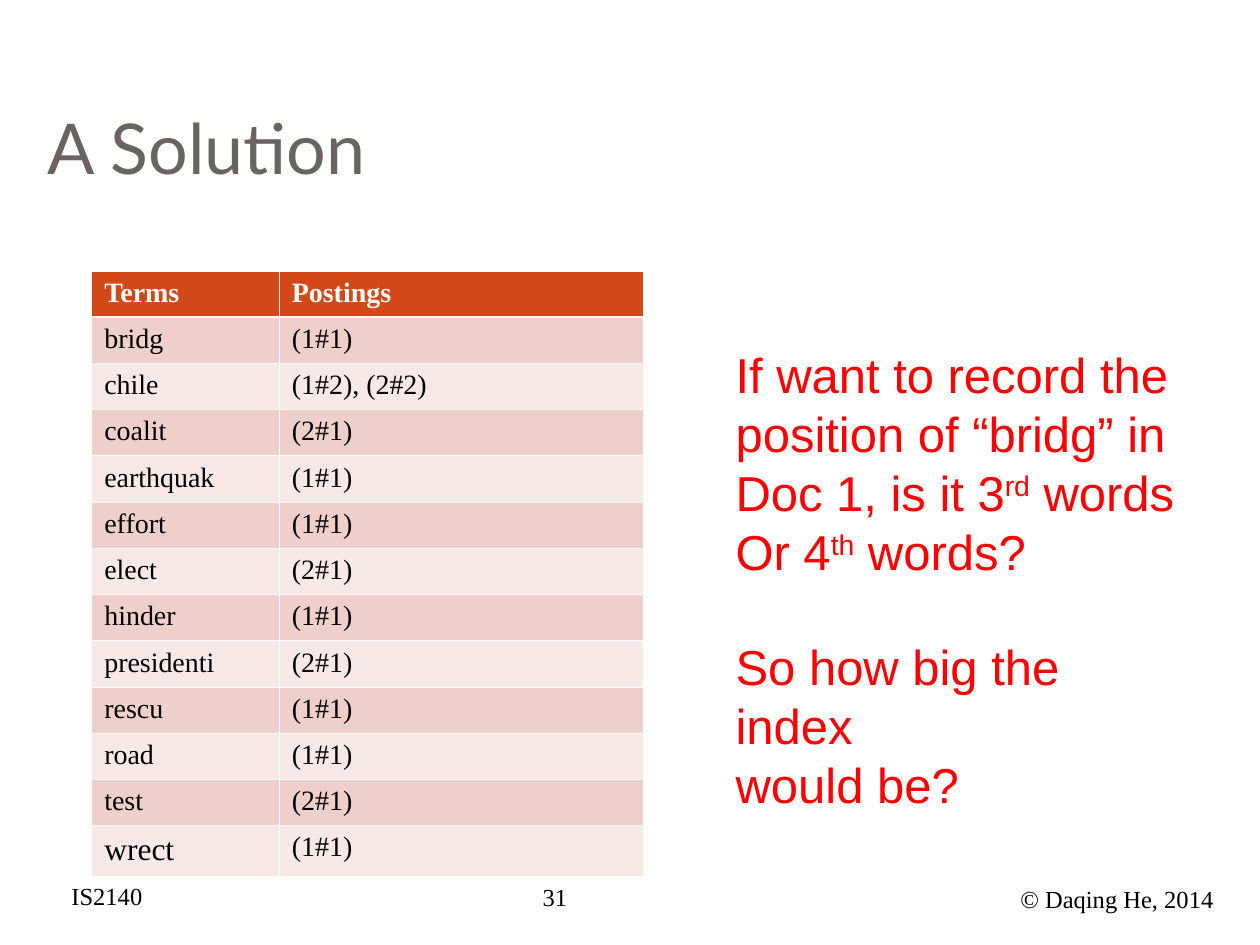
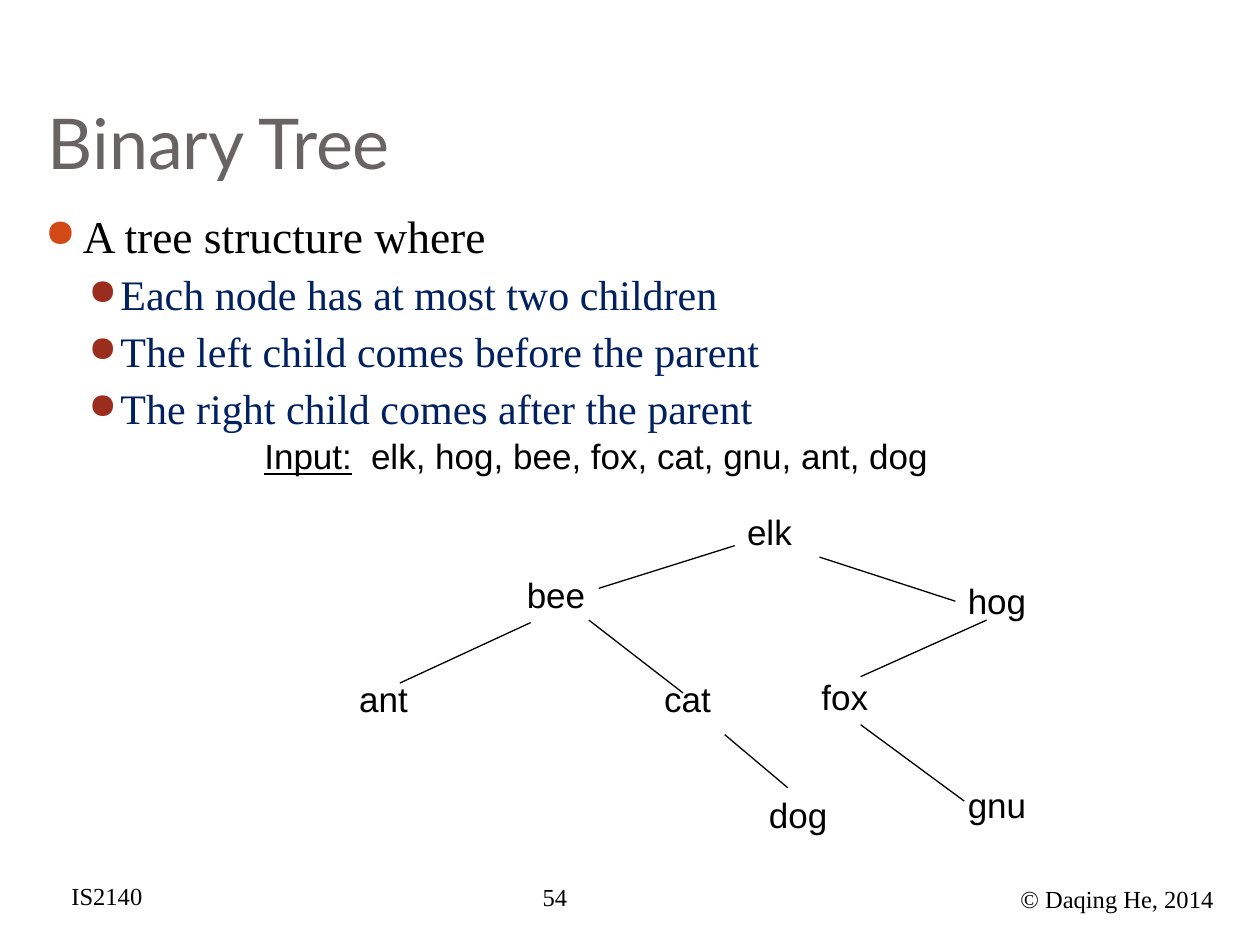
import pptx
import pptx.dml.color
import pptx.enum.shapes
import pptx.enum.text
import pptx.oxml.ns
import pptx.util
from lxml import etree

Cm, Pt = pptx.util.Cm, pptx.util.Pt
SERIF = {"name": "Times New Roman", "size": Pt(14), "color": "000000"}
HEAD = {"name": "Lato", "size": Pt(40), "color": "696464"}
NOTE = {"name": "Arial", "size": Pt(28), "color": "FF0000"}
NODE = {"name": "Arial", "size": Pt(20), "color": "000000"}
CELL = {**SERIF, "size": Pt(16)}
BANDS = ["F7E9E7", "EFCFCC"]
ORANGE, RUST, NAVY, WHITE = "D34817", "9B2D1F", "002060", "FFFFFF"
ROWS = [
    ("Terms", "Postings"), ("bridg", "(1#1)"), ("chile", "(1#2), (2#2)"),
    ("coalit", "(2#1)"), ("earthquak", "(1#1)"), ("effort", "(1#1)"),
    ("elect", "(2#1)"), ("hinder", "(1#1)"), ("presidenti", "(2#1)"),
    ("rescu", "(1#1)"), ("road", "(1#1)"), ("test", "(2#1)"), ("wrect", "(1#1)"),
]
NODES = {
    "elk": (7.82, 0, 2.11), "bee": (3.38, 1.27, 1.9), "hog": (12.27, 1.4, 1.68),
    "cat": (6.15, 3.38, 2.11), "dog": (8.26, 5.72, 2.11), "fox": (9.32, 3.33, 1.7),
    "ant": (0, 3.38, 1.7), "gnu": (12.27, 5.51, 2.97),
}
EDGES = [
    (7.82, 0.84, 5.08, 1.7, None), (3.71, 2.39, 1.07, 3.61, None),
    (7.62, 4.65, 8.89, 5.72, None), (12.9, 2.34, 10.36, 3.48, None),
    (9.53, 1.07, 12.27, 1.96, "hog"), (4.88, 2.34, 6.78, 3.81, None),
    (10.36, 4.45, 12.45, 5.99, None),
]


def paint(target, code):
    """Give a font colour, line colour or other colour format a hex value."""
    target.rgb = pptx.dml.color.RGBColor.from_string(code)


def style(font, form):
    """Set font attributes from a dict."""
    for key, value in form.items():
        if key == "color":
            paint(font.color, value)
        else:
            setattr(font, key, value)


def write(para, text, form, raised=False):
    """Add a formatted run to a paragraph."""
    run = para.add_run()
    run.text = text
    style(run.font, form)
    if raised:
        run.font._element.set("baseline", "30000")


def sub(parent, tag, **attrs):
    """Append a DrawingML element and return it."""
    return etree.SubElement(parent, pptx.oxml.ns.qn("a:" + tag), attrs)


def frame(slide, box, wrap=True):
    """Add a text box and return its text frame."""
    area = slide.shapes.add_textbox(*map(Cm, box)).text_frame
    area.word_wrap = wrap
    return area


def label(slide, box, text, form, wrap=True):
    """Add a one-line text box and return its shape."""
    area = frame(slide, box, wrap)
    write(area.paragraphs[0], text, form)
    return slide.shapes[-1]


def start(deck, title, number, base=0.13):
    """Add a slide with its title and footers."""
    slide = deck.slides.add_slide(deck.slide_layouts[5])
    head = slide.shapes.title
    head.left, head.top, head.width, head.height = map(Cm, (0.71, 0.76, 24.03, 3.18))
    area = head.text_frame
    form = {
        "vertical_anchor": pptx.enum.text.MSO_ANCHOR.BOTTOM,
        "auto_size": pptx.enum.text.MSO_AUTO_SIZE.NONE,
        "margin_bottom": Cm(base),
    }
    for key, value in form.items():
        setattr(area, key, value)
    area.paragraphs[0].alignment = pptx.enum.text.PP_ALIGN.LEFT
    write(area.paragraphs[0], title, HEAD)
    label(slide, (10.69, 17.65, 2.97, 0.94), number, SERIF)
    label(slide, (1.19, 17.63, 2.06, 0.86), "IS2140", SERIF, False)
    label(slide, (20.32, 17.7, 4.88, 0.86), "© Daqing He, 2014", SERIF, False)
    return slide


def edge(cell, side, width):
    """Draw one white border of a cell."""
    line = sub(cell._tc.get_or_add_tcPr(), side, w=str(Pt(width)))
    sub(sub(line, "solidFill"), "srgbClr", val=WHITE)


def index(slide, box):
    """Add the table of terms and postings."""
    left, top, width, height = box
    grid = slide.shapes.add_table(len(ROWS), 2, *map(Cm, box)).table
    for col, part in zip(grid.columns, (3.78, width - 3.78)):
        col.width = Cm(part)
    last = len(ROWS) - 1
    for i, row in enumerate(ROWS):
        grid.rows[i].height = Cm(1.02 if i == last else (height - 1.02) / last)
        for j, text in enumerate(row):
            cell = grid.cell(i, j)
            form = dict(CELL)
            if i == 0:
                form.update(color=WHITE, bold=True)
            elif (i, j) == (last, 0):
                form["size"] = Pt(18)
            write(cell.text_frame.paragraphs[0], text, form)
            thick = {0: "lnB", 1: "lnT"}.get(i)
            for side in ("lnL", "lnR", "lnT", "lnB"):
                edge(cell, side, 1.47 if side == thick else 0.45)
            cell.fill.solid()
            paint(cell.fill.fore_color, BANDS[i % 2] if i else ORANGE)


def query(slide, box):
    """Add the red questions beside the table."""
    lines = [
        ["If want to record the"], ["position of “bridg” in"],
        ["Doc 1, is it 3", "rd", " words"], ["Or 4", "th", " words?"],
        ["So how big the index"], ["would be?"],
    ]
    area = frame(slide, box, False)
    for i, line in enumerate(lines):
        para = area.paragraphs[0] if i == 0 else area.add_paragraph()
        if i == 4:
            para.space_before = Pt(32.2)
        for j, text in enumerate(line):
            write(para, text, NOTE, j == 1)


def points(slide, box):
    """Add the bulleted definition."""
    lines = [
        "A tree structure where", "Each node has at most two children",
        "The left child comes before the parent",
        "The right child comes after the parent",
    ]
    area = frame(slide, box)
    for i, text in enumerate(lines):
        para = area.paragraphs[0] if i == 0 else area.add_paragraph()
        inset, hang, dot, size, ink = (
            (1.52, 0.64, RUST, 24, NAVY) if i else (0.76, 0.76, ORANGE, 26, "000000"))
        if i:
            para.level = 1
            para.space_before = Pt(3.7)
        props = para._p.get_or_add_pPr()
        props.set("marL", str(Cm(inset)))
        props.set("indent", str(-Cm(hang)))
        sub(sub(props, "buClr"), "srgbClr", val=dot)
        sub(props, "buSzPct", val="85000")
        sub(props, "buChar", char="●")
        write(para, text, {**SERIF, "size": Pt(size), "color": ink})


def feed(slide, box):
    """Add the line of input words."""
    para = frame(slide, box).paragraphs[0]
    tabs = sub(para._p.get_or_add_pPr(), "tabLst")
    sub(tabs, "tab", pos=str(Cm(2.15)), algn="l")
    write(para, "Input:", {**NODE, "underline": True})
    write(para, "\telk, hog, bee, fox, cat, gnu, ant, dog", NODE)


def tree(slide, left, top):
    """Add the nodes and branches of the tree."""
    nodes = {
        name: label(slide, (left + x, top + y, width, 1.12), name, NODE, name != "hog")
        for name, (x, y, width) in NODES.items()
    }
    for x1, y1, x2, y2, goal in EDGES:
        line = slide.shapes.add_connector(
            pptx.enum.shapes.MSO_CONNECTOR.STRAIGHT,
            *map(Cm, (left + x1, top + y1, left + x2, top + y2)))
        if goal:
            line.end_connect(nodes[goal], 1)
        line.line.width = Pt(0.75)
        paint(line.line.color, "000000")
        sub(line._element.spPr, "effectLst")


def main():
    """Build and save the deck."""
    deck = pptx.Presentation()
    deck.slide_width, deck.slide_height = Cm(25.4), Cm(19.05)
    slide = start(deck, "A Solution", "31")
    index(slide, (1.85, 5.46, 11.12, 12.2))
    query(slide, (14.58, 6.83, 9.65, 8.56))
    slide = start(deck, "Binary Tree", "54", 0.25)
    points(slide, (0.66, 4.06, 24.1, 12.7))
    tree(slide, 6.99, 10.16)
    feed(slide, (5.08, 8.64, 19.25, 1.12))
    deck.save("out.pptx")


if __name__ == "__main__":
    main()
